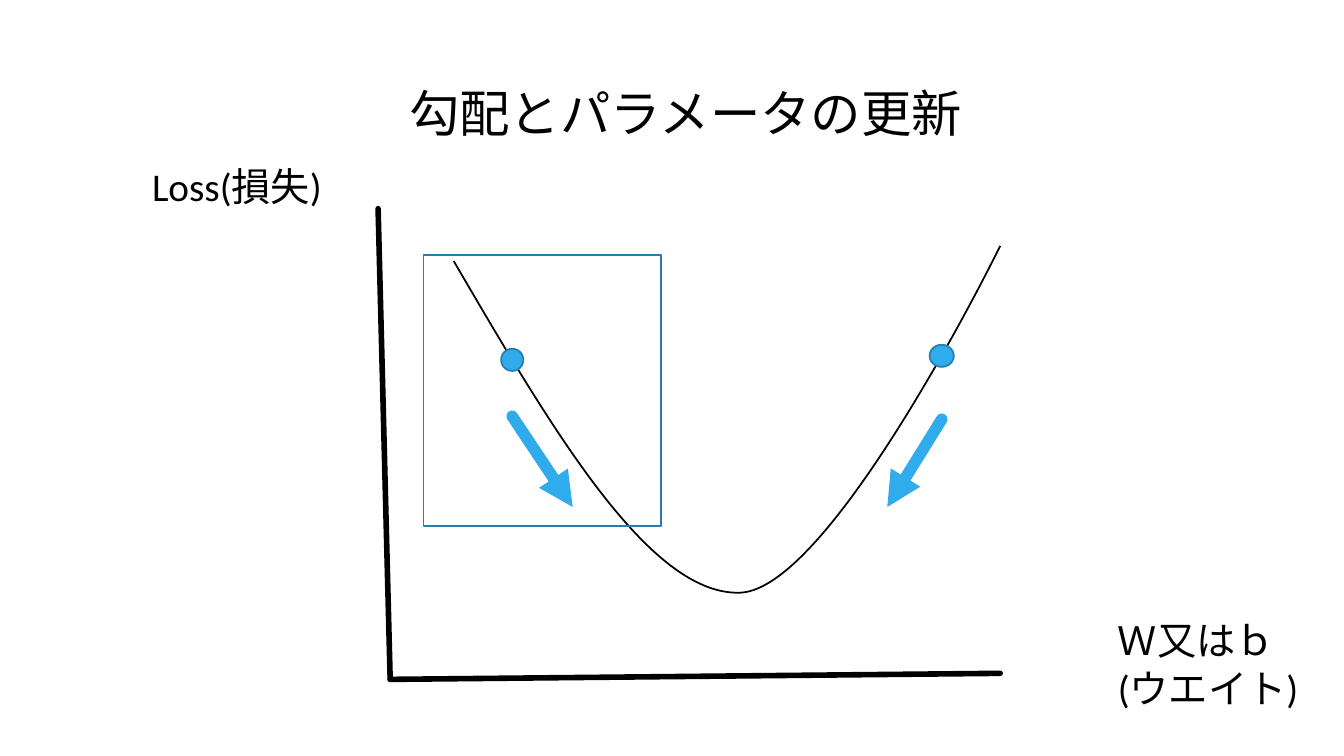
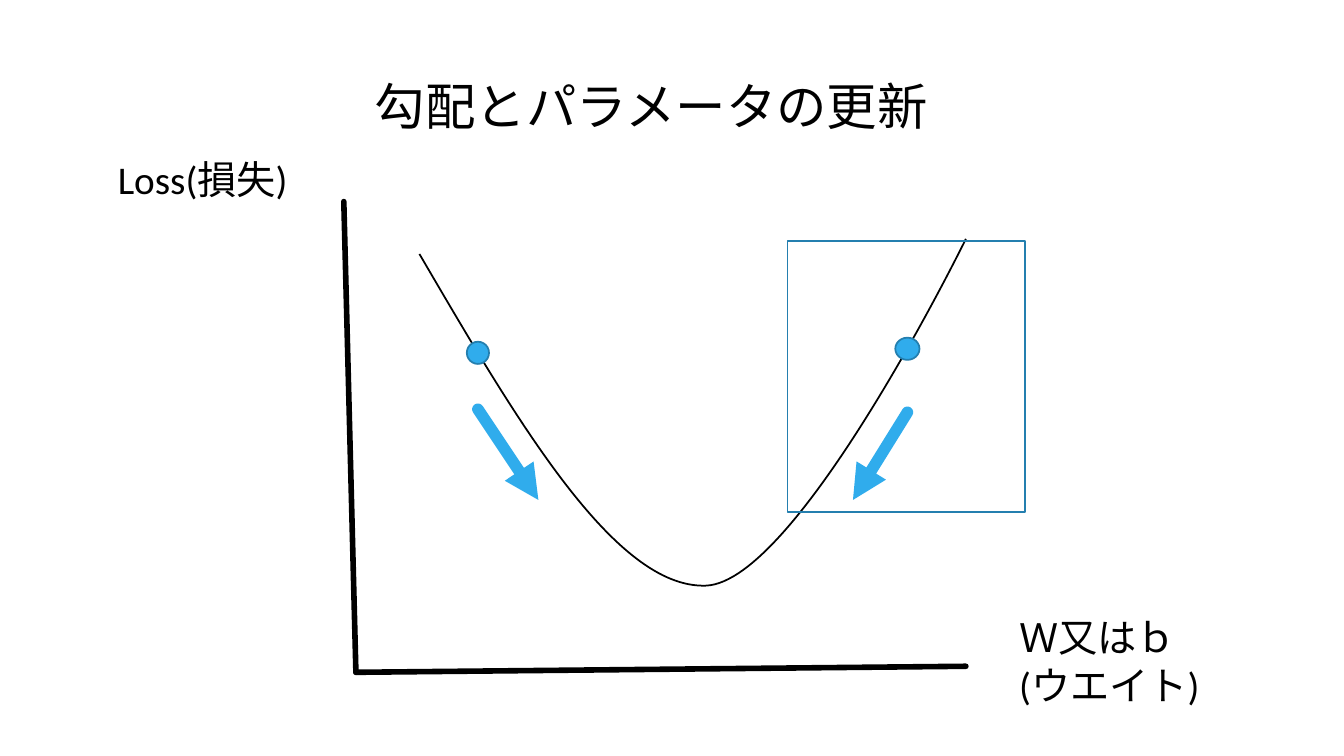
from lxml import etree
from pptx import Presentation
from pptx.dml.color import RGBColor
from pptx.enum import shapes, text
from pptx.oxml import ns
from pptx.util import Pt

PX = 9144
COLORS = {"ink": "000000", "accent": "30ACEC", "edge": "247FAF"}
TITLE = "勾配とパラメータの更新"


def color(name):
    return RGBColor.from_string(COLORS[name])


def add_child(parent, tag, **attributes):
    return etree.SubElement(parent, ns.qn(tag), attributes)


class Diagram:
    font = "Calibri"

    def __init__(self):
        self.deck = Presentation()
        self.deck.slide_width = 1333 * PX
        self.deck.slide_height = 750 * PX
        self.dx = self.dy = 0

    def new_page(self, dx, dy):
        self.page = self.deck.slides.add_slide(self.deck.slide_layouts[5])
        self.dx, self.dy = dx, dy

    def at(self, x, y):
        return (x + self.dx) * PX, (y + self.dy) * PX

    def set_lines(self, box, lines, size, align):
        frame = box.text_frame
        frame.word_wrap = True
        frame.text = "\n".join(lines)
        for para in frame.paragraphs:
            para.alignment = align
            para.font.name = self.font
            para.font.size = Pt(size)
            para.font.color.rgb = color("ink")
        return frame

    def title(self, words, x, y, width, height):
        box = self.page.shapes.title
        box.left, box.top = self.at(x, y)
        box.width, box.height = width * PX, height * PX
        frame = self.set_lines(box, [words], 36, text.PP_ALIGN.CENTER)
        frame.auto_size = text.MSO_AUTO_SIZE.NONE
        frame.vertical_anchor = text.MSO_ANCHOR.MIDDLE

    def label(self, lines, x, y, width, height):
        box = self.page.shapes.add_textbox(*self.at(x, y), width * PX, height * PX)
        frame = self.set_lines(box, lines, 28, text.PP_ALIGN.LEFT)
        frame.auto_size = text.MSO_AUTO_SIZE.SHAPE_TO_FIT_TEXT

    def outline(self, shape, name, width=1.25):
        shape.line.color.rgb = color(name)
        shape.line.width = Pt(width)

    def line(self, start, end, name, width, arrow=False, parent=None):
        owner = parent or self.page
        line = owner.shapes.add_connector(
            shapes.MSO_CONNECTOR.STRAIGHT, *self.at(*start), *self.at(*end))
        self.outline(line, name, width)
        stroke = line.get_or_add_ln()
        stroke.set("cap", "rnd")
        add_child(stroke, "a:round")
        if arrow:
            add_child(stroke, "a:tailEnd", type="triangle")
        add_child(line._element.spPr, "a:effectLst")

    def axes(self, origin, *ends):
        group = self.page.shapes.add_group_shape()
        for end in ends:
            self.line(origin, end, "ink", 4, parent=group)

    def shape(self, kind, x, y, width, height, fill=None):
        shape = self.page.shapes.add_shape(
            kind, *self.at(x, y), width * PX, height * PX)
        shape.shadow.inherit = False
        if fill:
            shape.fill.solid()
            shape.fill.fore_color.rgb = color(fill)
        else:
            shape.fill.background()
        self.outline(shape, "edge")

    def curve(self, start, *segments):
        anchors = [start] + [segment[-1] for segment in segments]
        left = min(x for x, y in anchors)
        top = min(y for x, y in anchors)
        builder = self.page.shapes.build_freeform(*start, scale=PX)
        builder.add_line_segments(anchors[1:], close=False)
        curve = builder.convert_to_shape()
        curve.left, curve.top = self.at(left, top)
        curve.shadow.inherit = False
        curve.fill.background()
        self.outline(curve, "ink")
        straights = list(curve._element.iter(ns.qn("a:lnTo")))
        for straight, segment in zip(straights, segments):
            bend = etree.Element(ns.qn("a:cubicBezTo"))
            for x, y in segment:
                add_child(bend, "a:pt", x=str(x - left), y=str(y - top))
            straight.getparent().replace(straight, bend)

    def loss_page(self, offset, weight_label, focus):
        self.new_page(*offset)
        self.title(TITLE, 368, 67, 624, 89)
        self.axes((387, 674), (375, 207), (992, 668))
        self.label(["Loss(損失)"], 141, 156, 234, 57)
        self.label(["Ｗ又はｂ", "(ウエイト)"], *weight_label, 234, 104)
        self.curve((450, 259),
                   [(547, 425), (644, 591), (734, 588)],
                   [(825, 585), (992, 244), (992, 244)])
        for x, y, width in [(497, 346, 22), (922, 342, 24)]:
            self.shape(shapes.MSO_SHAPE.OVAL, x, y, width, 22, "accent")
        for start, end in [((508, 413), (568, 503)), ((934, 416), (880, 503))]:
            self.line(start, end, "accent", 8.25, arrow=True)
        self.shape(shapes.MSO_SHAPE.RECTANGLE, *focus, 236, 269)


def main():
    diagram = Diagram()
    diagram.loss_page((0, 0), weight_label=(1099, 607), focus=(420, 253))
    diagram.loss_page((-34, -7), weight_label=(1035, 611), focus=(815, 246))
    diagram.deck.save("out.pptx")


if __name__ == "__main__":
    main()
